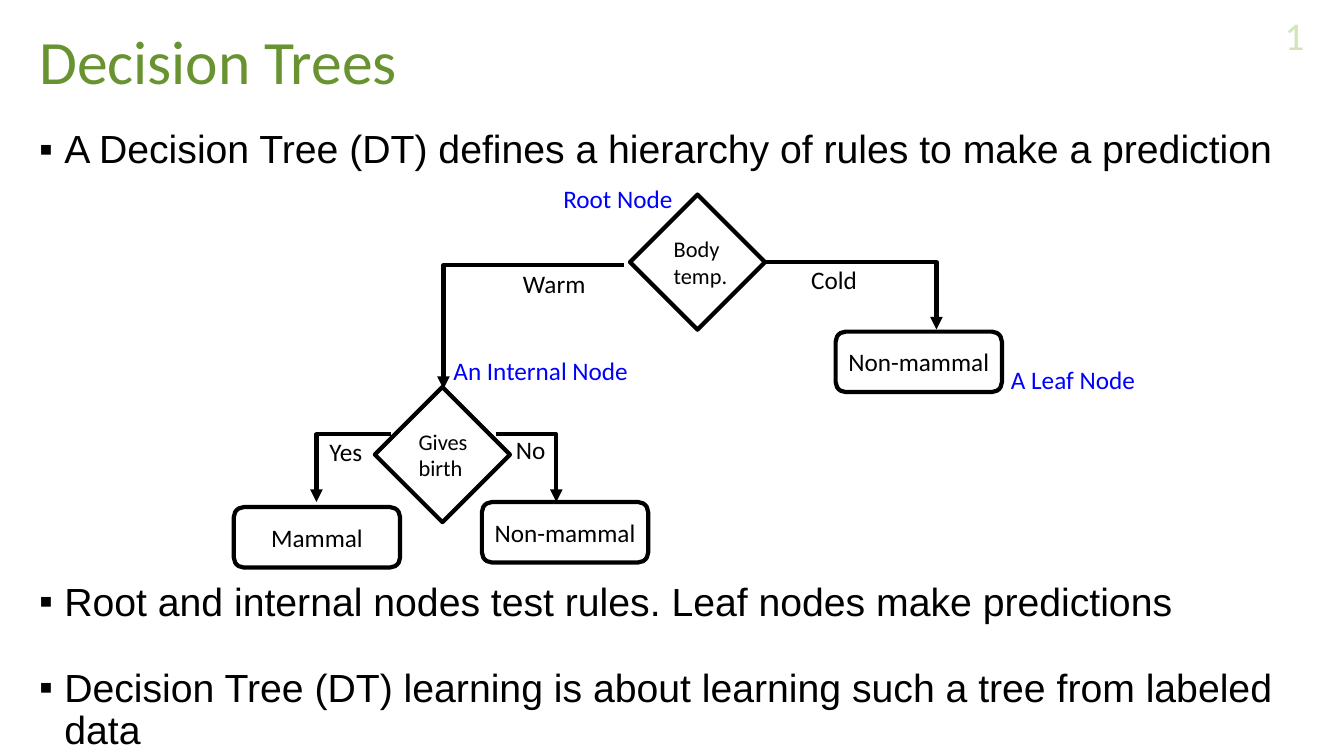
from pptx import Presentation
from pptx.dml.color import RGBColor
from pptx.enum.shapes import MSO_CONNECTOR, MSO_SHAPE
from pptx.enum.text import MSO_ANCHOR, PP_ALIGN
from pptx.oxml.ns import qn
from pptx.util import Pt
from lxml import etree

ELBOW = MSO_CONNECTOR.ELBOW
DIAMOND, ROUND = MSO_SHAPE.DIAMOND, MSO_SHAPE.ROUNDED_RECTANGLE
TOP, MIDDLE = MSO_ANCHOR.TOP, MSO_ANCHOR.MIDDLE
LEFT, CENTER, RIGHT = PP_ALIGN.LEFT, PP_ALIGN.CENTER, PP_ALIGN.RIGHT

COLORS = {"title": "699331", "page": "D1E6B5", "ink": "000000",
          "note": "0000FF", "paper": "FFFFFF"}


def color(name):
    return RGBColor.from_string(COLORS[name])


def write(shape, text, size=18, font="Calibri", ink="ink", align=LEFT,
          anchor=TOP, wrap=False, spacing=None):
    """Fill a shape with one paragraph for each line of text."""
    frame = shape.text_frame
    frame.word_wrap = wrap
    frame.vertical_anchor = anchor
    for i, line in enumerate(text.split("\n")):
        para = frame.paragraphs[0] if i == 0 else frame.add_paragraph()
        para.alignment = align
        para.line_spacing = spacing
        run = para.add_run()
        run.text = line
        run.font.size = Pt(size)
        run.font.name = font
        run.font.color.rgb = color(ink)
    return frame


prs = Presentation()
prs.slide_width, prs.slide_height = Pt(960), Pt(540)
slide = prs.slides.add_slide(prs.slide_layouts[6])
shapes = slide.shapes

# Title and page number
title = shapes.add_textbox(Pt(20.9), Pt(13.7), Pt(924.5), Pt(64.8))
write(title, "Decision Trees", size=44, ink="title", anchor=MIDDLE,
      wrap=True, spacing=0.9)
page = shapes.add_textbox(Pt(891.4), Pt(10.8), Pt(47.5), Pt(28.8))
write(page, "1", size=28, ink="page", align=RIGHT, anchor=MIDDLE, wrap=True)

# Bullets, with room for the tree after the first
points = [
    ("A Decision Tree (DT) defines a hierarchy of rules to make a prediction", 0),
    ("Root and internal nodes test rules. Leaf nodes make predictions", 293),
    ("Decision Tree (DT) learning is about learning such a tree from labeled data", 31),
]
body = shapes.add_textbox(Pt(20.9), Pt(89.3), Pt(924.5), Pt(437.8))
frame = write(body, "\n".join(text for text, gap in points), size=28,
              font="Arial", wrap=True, spacing=0.9)
for para, (text, gap) in zip(frame.paragraphs, points):
    para.space_before = Pt(gap)
    props = para._p.get_or_add_pPr()
    props.set("marL", str(Pt(18)))
    props.set("indent", str(-Pt(18)))
    etree.SubElement(props, qn("a:buFont")).set("typeface", "Wingdings")
    etree.SubElement(props, qn("a:buChar")).set("char", "▪")
    props.find(qn("a:buFont")).set("typeface", "Arial")

# Branches: across, then down
branches = [
    (546.5, 187.2, 668.9, 235.4),
    (445.7, 189.4, 316.8, 277.9),
    (279.4, 310.3, 226.1, 358.6),
    (354.2, 310.3, 397.4, 358.6),
]
for x1, y1, x2, y2 in branches:
    link = shapes.add_connector(ELBOW, Pt(x1), Pt(y1), Pt(x2), Pt(y2))
    link.line.color.rgb = color("ink")
    link.line.width = Pt(3)
    props = link._element.spPr
    props.find(qn("a:prstGeom")).set("prst", "bentConnector2")
    etree.SubElement(link.line._get_or_add_ln(), qn("a:tailEnd")).set("type", "triangle")
    etree.SubElement(props, qn("a:effectLst"))

# Nodes: rules are diamonds, predictions are rounded boxes
kinds = {
    DIAMOND: (96.5, 96.5, 16, LEFT),
    ROUND: (118.8, 43.2, 18, CENTER),
}
nodes = [
    (DIAMOND, 450, 139, "Body\ntemp."),
    (DIAMOND, 267.8, 276.5, "Gives\nbirth"),
    (ROUND, 596.9, 236.9, "Non-mammal"),
    (ROUND, 344.2, 358.6, "Non-mammal"),
    (ROUND, 167, 362.2, "Mammal"),
]
for kind, x, y, text in nodes:
    wide, high, size, align = kinds[kind]
    node = shapes.add_shape(kind, Pt(x), Pt(y), Pt(wide), Pt(high))
    node.shadow.inherit = False
    node.fill.solid()
    node.fill.fore_color.rgb = color("paper")
    node.line.color.rgb = color("ink")
    node.line.width = Pt(3)
    write(node, text, size=size, align=align, anchor=MIDDLE)

# Labels
labels = [
    ("Cold", 572.4, 185, 47.5, "ink"),
    ("Warm", 366.5, 187.9, 59.8, "ink"),
    ("Yes", 228.2, 308.2, 38.2, "ink"),
    ("No", 361.4, 306.7, 36, "ink"),
    ("Root Node", 395.3, 127.4, 93.6, "note"),
    ("An Internal Node", 316.8, 250.6, 140.4, "note"),
    ("A Leaf Node", 715, 257, 104.4, "note"),
]
for text, x, y, wide, ink in labels:
    label = shapes.add_textbox(Pt(x), Pt(y), Pt(wide), Pt(28.8))
    write(label, text, ink=ink)

prs.save("out.pptx")
